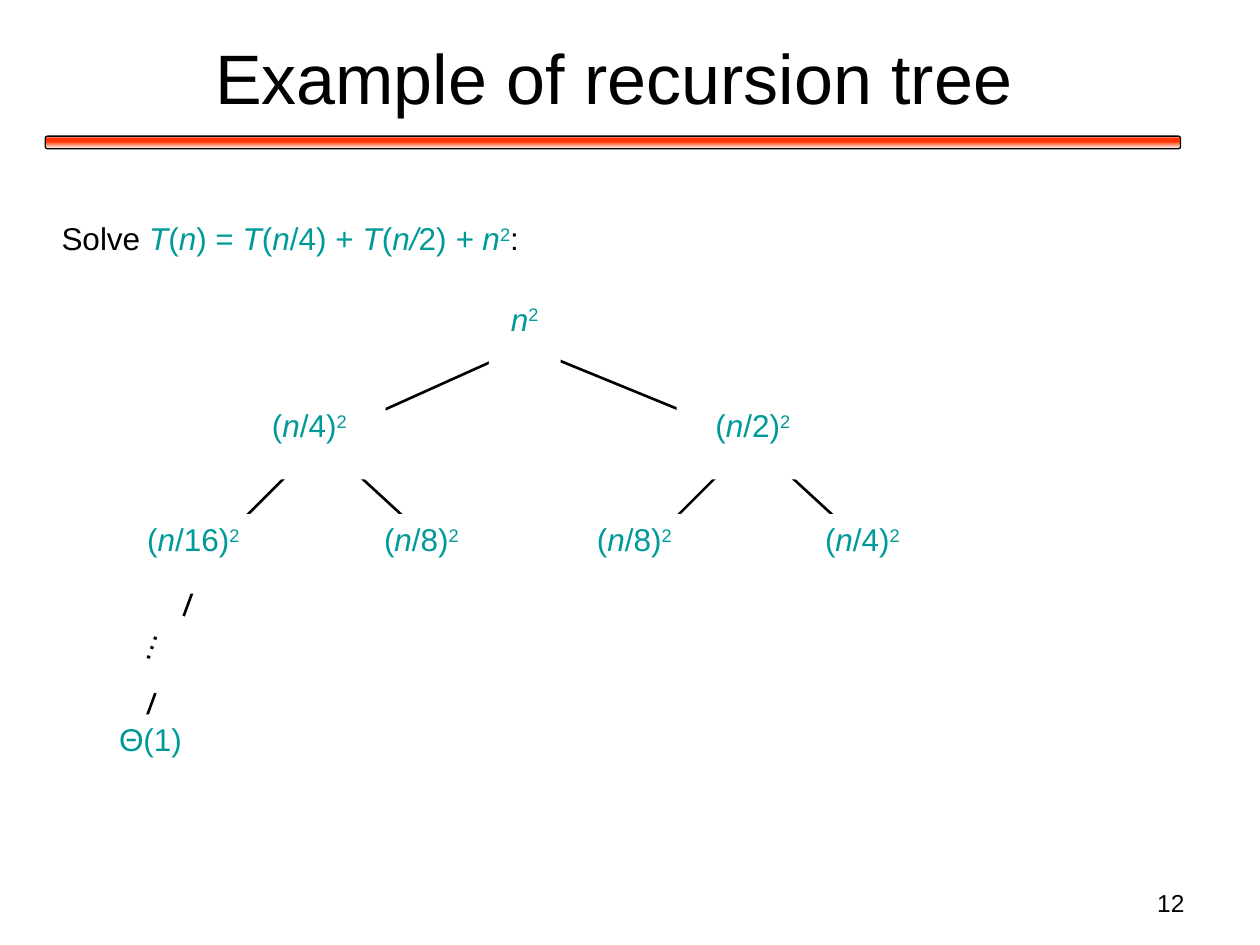
from dataclasses import dataclass

from lxml import etree
from pptx import Presentation
from pptx.dml.color import RGBColor
from pptx.enum.shapes import MSO_CONNECTOR, MSO_SHAPE
from pptx.enum.text import MSO_ANCHOR, MSO_AUTO_SIZE, PP_ALIGN
from pptx.oxml import parse_xml
from pptx.oxml.ns import nsdecls, qn
from pptx.util import Pt

LEFT, CENTER, RIGHT = PP_ALIGN.LEFT, PP_ALIGN.CENTER, PP_ALIGN.RIGHT
TOP, MIDDLE = MSO_ANCHOR.TOP, MSO_ANCHOR.MIDDLE
FIXED = MSO_AUTO_SIZE.NONE
RECT, ROUND = MSO_SHAPE.RECTANGLE, MSO_SHAPE.ROUNDED_RECTANGLE
STRAIGHT = MSO_CONNECTOR.STRAIGHT

FONT = "Arial"
BLACK, WHITE, TEAL, RED = "000000", "FFFFFF", "009999", "FF3300"
HIGH = 45.4


@dataclass
class Node:
    text: str
    mid: float
    top: float
    wide: float = 87.1
    color: str = TEAL
    turn: float = 0


@dataclass
class Edge:
    x1: float
    y1: float
    x2: float
    y2: float


def paint(color: str) -> RGBColor:
    return RGBColor.from_string(color)


def write(shape, text: str, size: float = 18, color: str = BLACK,
          accent: str = TEAL, align=LEFT, anchor=TOP, wrap: bool = False) -> None:
    """In text, * toggles italic, ^ superscript and ~ the accent colour."""
    frame = shape.text_frame
    frame.auto_size = FIXED
    frame.word_wrap = wrap
    frame.vertical_anchor = anchor
    para = frame.paragraphs[0]
    para.alignment = align
    state = dict.fromkeys("*^~", False)
    part = ""

    def flush() -> None:
        if not part:
            return
        run = para.add_run()
        run.text = part
        font = run.font
        font.name, font.size = FONT, Pt(size)
        font.italic = state["*"]
        font.color.rgb = paint(accent if state["~"] else color)
        if state["^"]:
            font._element.set("baseline", "30000")

    for char in text:
        if char in state:
            flush()
            part = ""
            state[char] = not state[char]
        else:
            part += char
    flush()


def place(shape, x: float, y: float, w: float, h: float) -> None:
    shape.left, shape.top, shape.width, shape.height = Pt(x), Pt(y), Pt(w), Pt(h)


def draw_edge(slide, edge: Edge) -> None:
    line = slide.shapes.add_connector(
        STRAIGHT, Pt(edge.x1), Pt(edge.y1), Pt(edge.x2), Pt(edge.y2))
    line.line.color.rgb = paint(BLACK)
    line.line.width = Pt(1.5)
    etree.SubElement(line._element.spPr, qn("a:effectLst"))


def draw_node(slide, node: Node) -> None:
    box = slide.shapes.add_shape(
        RECT, Pt(node.mid - node.wide / 2), Pt(node.top), Pt(node.wide), Pt(HIGH))
    box.shadow.inherit = False
    box.fill.solid()
    box.fill.fore_color.rgb = paint(WHITE)
    box.line.fill.background()
    box.rotation = node.turn
    write(box, node.text, color=node.color, align=CENTER)


def draw_bar(slide) -> None:
    bar = slide.shapes.add_shape(ROUND, Pt(25.9), Pt(77.8), Pt(648.7), Pt(7.2))
    bar.adjustments[0] = 0.17
    bar.shadow.inherit = False
    bar.line.color.rgb = paint(BLACK)
    bar.line.width = Pt(0.75)
    stops = "".join(
        f'<a:gs pos="{pos * 1000}"><a:srgbClr val="{color}"/></a:gs>'
        for pos, color in ((0, WHITE), (16, RED), (42, RED), (100, WHITE)))
    fade = parse_xml(
        f'<a:gradFill {nsdecls("a")} rotWithShape="1"><a:gsLst>{stops}</a:gsLst>'
        '<a:lin ang="5400000" scaled="0"/></a:gradFill>')
    bar._element.spPr.find(qn("a:prstGeom")).addnext(fade)


def draw_text(slide, x: float, y: float, w: float, h: float,
              text: str, **form) -> None:
    box = slide.shapes.add_textbox(Pt(x), Pt(y), Pt(w), Pt(h))
    write(box, text, **form)


ROW1, ROW2, ROW3 = 167.8, 228.6, 293.8
EDGES = [
    Edge(300, 198, 180, 252),
    Edge(300, 198, 432, 252),
    Edge(183.6, 252, 117.4, 318.2),
    Edge(183.6, 252, 255.6, 318.2),
    Edge(429.8, 252, 363.6, 318.2),
    Edge(429.8, 252, 501.8, 318.2),
    Edge(117.4, 318.2, 75.6, 432),
]
NODES = [
    Node("*n*^2^", 299.9, ROW1, 41),
    Node("(*n*/4)^2^", 176.8, ROW2),
    Node("(*n*/2)^2^", 430.2, ROW2),
    Node("(*n*/16)^2^", 110.5, ROW3, 103),
    Node("(*n*/8)^2^", 240.8, ROW3),
    Node("(*n*/8)^2^", 362.5, ROW3),
    Node("(*n*/4)^2^", 492.8, ROW3),
    Node("Θ(1)", 86, 408.2, 75.6),
    Node("…", 88.9, 348.5, 46.8, BLACK, 289.4),
]

deck = Presentation()
deck.slide_width, deck.slide_height = Pt(720), Pt(540)
slide = deck.slides.add_slide(deck.slide_layouts[5])

# Heading
draw_bar(slide)
title = slide.shapes.title
place(title, 26.6, 7.9, 648, 71.3)
write(title, "Example of recursion tree", size=40, align=CENTER,
      anchor=MIDDLE, wrap=True)

# Recurrence
draw_text(slide, 28.1, 121.7, 451.4, HIGH,
          "Solve ~*T*(*n*) = *T*(*n*/4) + *T*(*n/*2)* + n*^2^~:")

# Tree: white nodes cover the ends of the edges
for edge in EDGES:
    draw_edge(slide, edge)
for node in NODES:
    draw_node(slide, node)

# Page number
draw_text(slide, 516.2, 504, 167.8, 25.2, "12", size=14, align=RIGHT, wrap=True)

deck.save("out.pptx")
